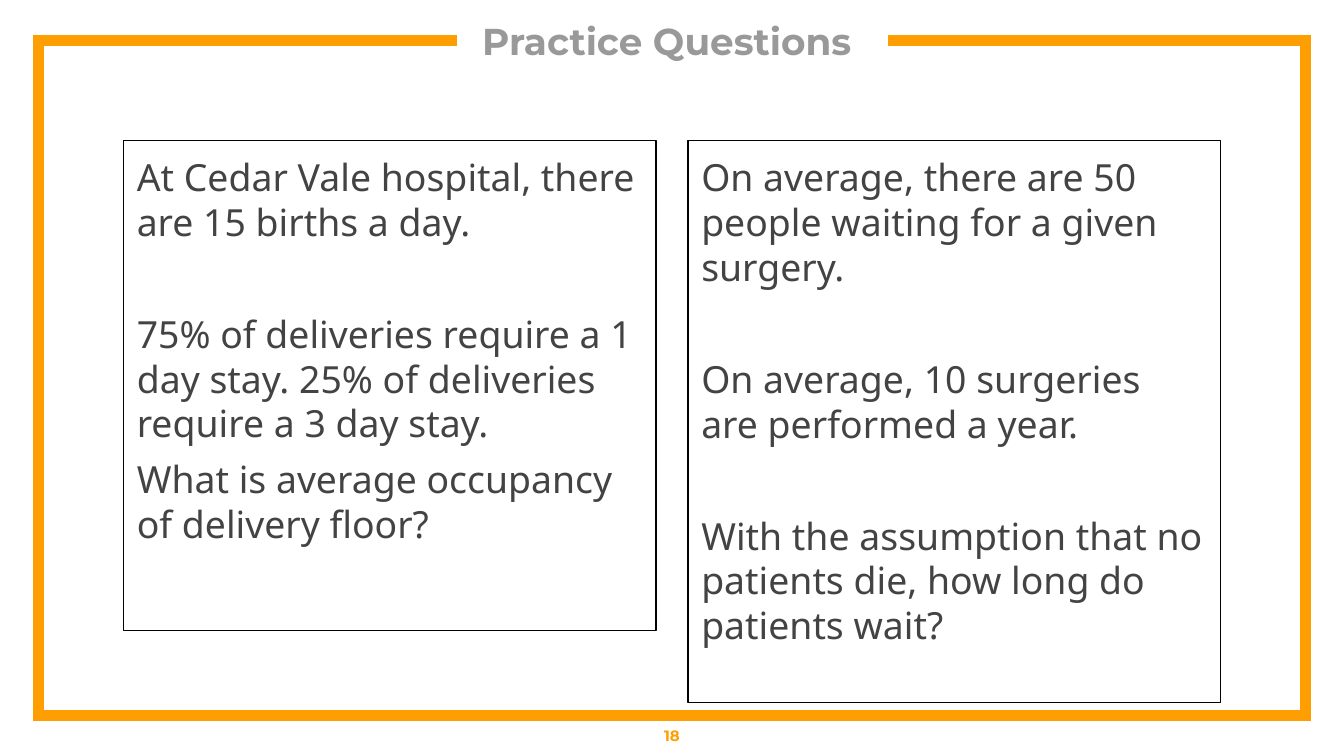
from pptx import Presentation
from pptx.dml.color import RGBColor
from pptx.enum.shapes import MSO_SHAPE
from pptx.enum.text import MSO_ANCHOR, PP_ALIGN
from pptx.oxml.ns import qn
from pptx.util import Pt
from lxml import etree

RECT = MSO_SHAPE.RECTANGLE
TOP, MIDDLE = MSO_ANCHOR.TOP, MSO_ANCHOR.MIDDLE
LEFT, CENTER = PP_ALIGN.LEFT, PP_ALIGN.CENTER

COLORS = {"frame": "FF9E00", "title": "999999", "body": "434343", "border": "000000"}
HEADING_FONT, BODY_FONT = "Montserrat", "Noto Sans"
WIDTH, HEIGHT = 720, 405

TITLE = "Practice Questions"
PAGE_NUMBER = "18"
NEAR, FAR = 6, 36
QUESTIONS = [
    {"height": 262.6, "paragraphs": [
        ("At Cedar Vale hospital, there are 15 births a day.", 0),
        ("75% of deliveries require a 1 day stay. 25% of deliveries require a 3 day stay.", FAR),
        ("What is average occupancy of delivery floor?", NEAR),
    ]},
    {"height": 301, "paragraphs": [
        ("On average, there are 50 people waiting for a given surgery.", 0),
        ("On average, 10 surgeries are performed a year.", FAR),
        ("With the assumption that no patients die, how long do patients wait?", FAR),
    ]},
]
BOX_LEFT, BOX_TOP, BOX_WIDTH, BOX_STEP = 66.2, 75.4, 285.2, 302.4
FRAME_POINTS = [(244.8, 21.6), (20.5, 21.6), (20.5, 383.5),
                (699.5, 383.5), (699.5, 21.6), (476, 21.6)]


def rgb(name):
    return RGBColor.from_string(COLORS[name])


def style_frame(tf, inset, anchor):
    tf.word_wrap = True
    tf.vertical_anchor = anchor
    tf.margin_left = tf.margin_right = tf.margin_top = tf.margin_bottom = Pt(inset)


def style_paragraph(p, text, font, size, color, align, bold=False):
    p.text = text
    p.alignment = align
    p.font.name = font
    p.font.size = Pt(size)
    p.font.bold = bold
    p.font.color.rgb = rgb(color)


def add_frame(s):
    points = [(Pt(x), Pt(y)) for x, y in FRAME_POINTS]
    builder = s.shapes.build_freeform(*points[0])
    builder.add_line_segments(points[1:], close=False)
    sp = builder.convert_to_shape()
    sp.shadow.inherit = False
    sp.fill.background()
    sp.line.color.rgb = rgb("frame")
    sp.line.width = Pt(6)
    line = sp._element.spPr.find(qn("a:ln"))
    etree.SubElement(line, qn("a:miter"), lim="800000")


def add_title(s):
    sp = s.shapes.title
    sp.left, sp.top, sp.width, sp.height = Pt(252.5), Pt(8), Pt(209.5), Pt(28)
    style_frame(sp.text_frame, 0, MIDDLE)
    style_paragraph(sp.text_frame.paragraphs[0], TITLE, HEADING_FONT, 20, "title", CENTER, True)


def add_question(s, index, question):
    sp = s.shapes.add_shape(RECT, Pt(BOX_LEFT + index * BOX_STEP), Pt(BOX_TOP),
                            Pt(BOX_WIDTH), Pt(question["height"]))
    sp.shadow.inherit = False
    sp.fill.background()
    sp.line.color.rgb = rgb("border")
    sp.line.width = Pt(0.75)
    tf = sp.text_frame
    style_frame(tf, 7.2, TOP)
    tf.margin_right = Pt(8.2)
    for i, (text, gap) in enumerate(question["paragraphs"]):
        p = tf.add_paragraph() if i else tf.paragraphs[0]
        style_paragraph(p, text, BODY_FONT, 20, "body", LEFT)
        p.space_before = Pt(gap)


def add_page_number(s):
    sp = s.shapes.add_textbox(0, Pt(383.2), Pt(WIDTH), Pt(21.4))
    style_frame(sp.text_frame, 7.2, MIDDLE)
    style_paragraph(sp.text_frame.paragraphs[0], PAGE_NUMBER, HEADING_FONT, 8, "frame", CENTER, True)


def main():
    """Build the practice questions slide."""
    prs = Presentation()
    prs.slide_width, prs.slide_height = Pt(WIDTH), Pt(HEIGHT)
    s = prs.slides.add_slide(prs.slide_layouts[5])
    add_frame(s)
    add_title(s)
    for index, question in enumerate(QUESTIONS):
        add_question(s, index, question)
    add_page_number(s)
    prs.save("out.pptx")


if __name__ == "__main__":
    main()
